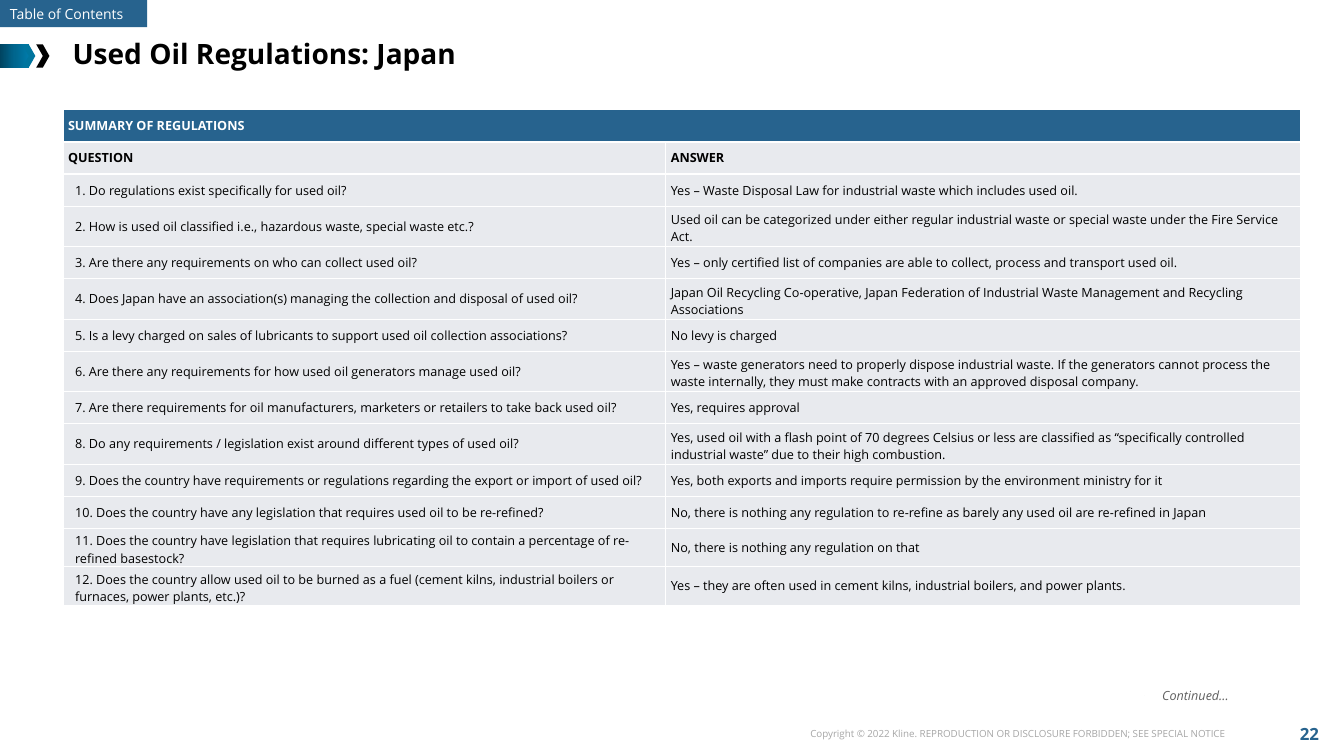
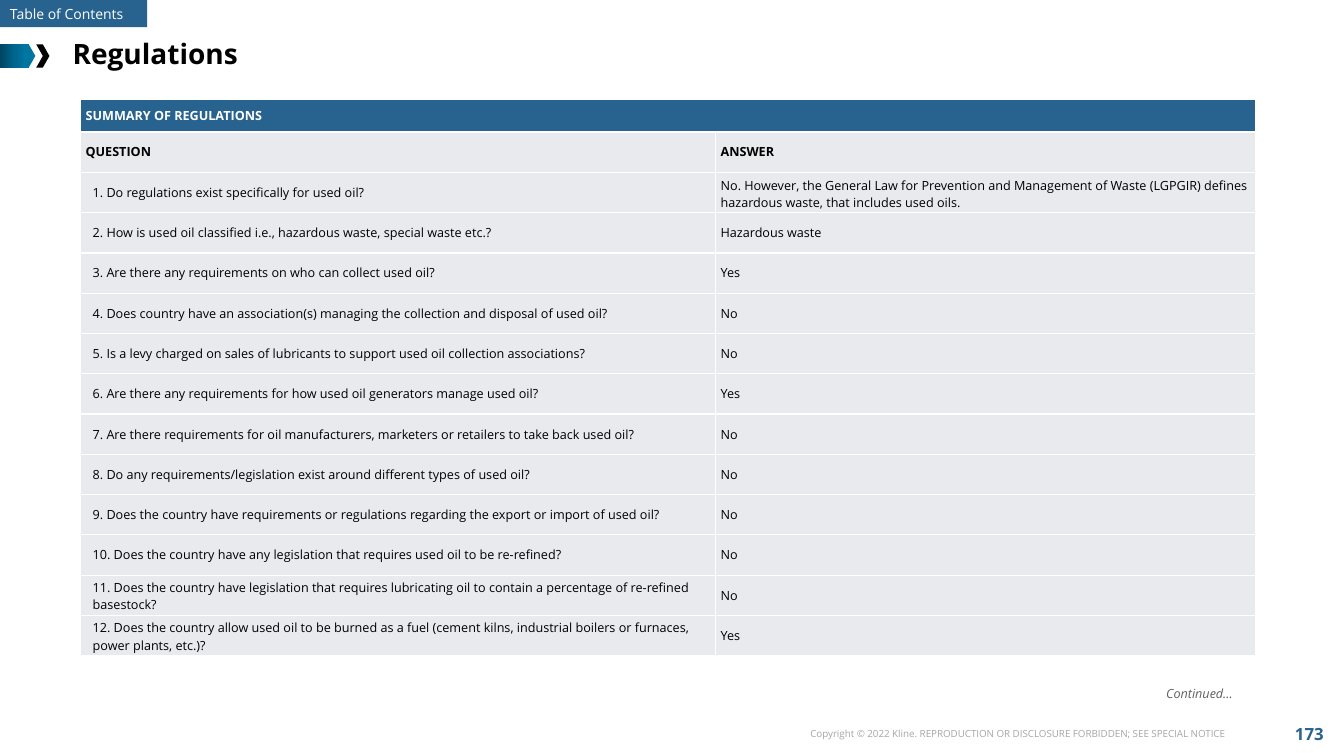
from copy import deepcopy
from math import cos, radians, sin

from pptx import Presentation
from pptx.dml.color import RGBColor
from pptx.enum.shapes import MSO_SHAPE
from pptx.enum.text import MSO_ANCHOR, PP_ALIGN
from pptx.oxml.ns import qn
from pptx.util import Inches, Pt

LEFT, CENTER, RIGHT = PP_ALIGN.LEFT, PP_ALIGN.CENTER, PP_ALIGN.RIGHT
MIDDLE, TOP = MSO_ANCHOR.MIDDLE, MSO_ANCHOR.TOP
RECTANGLE, CHEVRON = MSO_SHAPE.RECTANGLE, MSO_SHAPE.CHEVRON

COLORS = {
    "blue": "27638E", "row": "E8EAEE", "white": "FFFFFF", "black": "000000",
    "copyright": "A6A6A6", "continued": "606060", "chevron": "00759E",
}
BAR_GRADIENT = [(0, "004461"), (0.5, "00668E"), (1, "007BAA")]
FONT = "Open Sans"

QUESTIONS = [
    "Do regulations exist specifically for used oil?",
    "How is used oil classified i.e., hazardous waste, special waste etc.?",
    "Are there any requirements on who can collect used oil?",
    "Does {place} have an association(s) managing the collection and disposal of used oil?",
    "Is a levy charged on sales of lubricants to support used oil collection associations?",
    "Are there any requirements for how used oil generators manage used oil?",
    "Are there requirements for oil manufacturers, marketers or retailers to take back used oil?",
    "Do any requirements{slash}legislation exist around different types of used oil?",
    "Does the country have requirements or regulations regarding the export or import of used oil?",
    "Does the country have any legislation that requires used oil to be re-refined?",
    "Does the country have legislation that requires lubricating oil to contain a percentage of "
    "re-refined basestock?",
    "Does the country allow used oil to be burned as a fuel (cement kilns, industrial boilers or "
    "furnaces, power plants, etc.)?",
]

PAGES = [
    {
        "title": "Used Oil Regulations: Japan", "number": "22",
        "place": "Japan", "slash": " / ",
        "corner": (4.69, 14.53), "columns": (44.85, 47.25), "row": 4.25,
        "continued": (85.16, 92),
        "answers": [
            "Yes – Waste Disposal Law for industrial waste which includes used oil.",
            "Used oil can be categorized under either regular industrial waste or special waste "
            "under the Fire Service Act.",
            "Yes – only certified list of companies are able to collect, process and transport "
            "used oil.",
            "Japan Oil Recycling Co-operative, Japan Federation of Industrial Waste Management "
            "and Recycling Associations",
            "No levy is charged",
            "Yes – waste generators need to properly dispose industrial waste. If the generators "
            "cannot process the waste internally, they must make contracts with an approved "
            "disposal company.",
            "Yes, requires approval",
            "Yes, used oil with a flash point of 70 degrees Celsius or less are classified as "
            "“specifically controlled industrial waste” due to their high combustion.",
            "Yes, both exports and imports require permission by the environment ministry for it",
            "No, there is nothing any regulation to re-refine as barely any used oil are "
            "re-refined in Japan",
            "No, there is nothing any regulation on that",
            "Yes – they are often used in cement kilns, industrial boilers, and power plants.",
        ],
    },
    {
        "title": "Regulations", "number": "173",
        "place": "country", "slash": "/",
        "corner": (6, 13.2), "columns": (47.25, 40.2), "row": 5.33,
        "continued": (85.46, 91.73),
        "answers": [
            "No. However, the General Law for Prevention and Management of Waste (LGPGIR) defines "
            "hazardous waste, that includes used oils.",
            "Hazardous waste", "Yes", "No", "No", "Yes",
            "No", "No", "No", "No", "No", "Yes",
        ],
    },
]
HEADER_ROW = 4.25

deck = Presentation()
deck.slide_width, deck.slide_height = Inches(13.33), Inches(7.5)


def share(x, y, *size):
    full = (deck.slide_width, deck.slide_height) * 2
    return [int(total * part / 100) for total, part in zip(full, (x, y, *size))]


def write(frame, text, size=9, color="black", bold=False, italic=False, align=LEFT, anchor=MIDDLE):
    frame.word_wrap = True
    frame.vertical_anchor = anchor
    paragraph = frame.paragraphs[0]
    paragraph.alignment = align
    run = paragraph.add_run()
    run.text = text
    run.font.name, run.font.size = FONT, Pt(size)
    run.font.bold, run.font.italic = bold, italic
    run.font.color.rgb = RGBColor.from_string(COLORS[color])


layout = deck.slide_layouts[5]
for holder in list(layout.placeholders)[1:]:
    holder.element.getparent().remove(holder.element)
heading = layout.placeholders[0]
heading.left, heading.top, heading.width, heading.height = share(4.65, 4.13, 90, 5.87)

slides = [deck.slides.add_slide(layout) for page in PAGES]

stage = slides[0].shapes
copyright_line = stage.add_textbox(*share(57.83, 95.6, 34.05, 2.93))
write(copyright_line.text_frame,
      "Copyright © 2022 Kline. REPRODUCTION OR DISCLOSURE FORBIDDEN; SEE SPECIAL NOTICE",
      size=7, color="copyright", align=RIGHT, anchor=TOP)
shared = [copyright_line]
for preset, place, color in [
    (RECTANGLE, (0, 5.87, 2.18, 3.07), "chevron"),
    (CHEVRON, (1.65, 5.87, 0.98, 3.07), "chevron"),
    (CHEVRON, (2.7, 5.87, 0.98, 3.07), "black"),
    (RECTANGLE, (0, 0, 10.95, 3.6), "blue"),
]:
    part = stage.add_shape(preset, *share(*place))
    part.shadow.inherit = False
    part.line.fill.background()
    part.fill.solid()
    part.fill.fore_color.rgb = RGBColor.from_string(COLORS[color])
    shared.append(part)

title_bar, contents_tab = shared[1], shared[-1]
title_bar.fill.gradient()
title_bar.fill.gradient_angle = 0
stop_list = title_bar.element.find(".//" + qn("a:gsLst"))
stop_list.insert(1, deepcopy(stop_list[0]))
for stop, (position, color) in zip(title_bar.fill.gradient_stops, BAR_GRADIENT):
    stop.position = position
    stop.color.rgb = RGBColor.from_string(color)
write(contents_tab.text_frame, "Table of Contents", size=10, color="white")

for part in shared:
    layout.shapes.element.append(part.element)

ARC = range(-90, 181, 10)
outer_arc = [(0.13 * cos(radians(a)), 0.13 * sin(radians(a))) for a in ARC]
inner_arc = [(0.11 * cos(radians(a)), 0.11 * sin(radians(a))) for a in reversed(ARC)]
upper_arrow = [(-0.13, -0.01), (0.01, -0.01), (-0.02, -0.04), (-0.01, -0.05)]
lower_arrow = [(x, -y) for x, y in reversed(upper_arrow[1:])] + [(-0.11, 0.01)]
icon_outline = outer_arc + upper_arrow + [(0.04, 0)] + lower_arrow + inner_arc[1:]

for slide, page in zip(slides, PAGES):
    write(slide.shapes.title.text_frame, page["title"], size=20, bold=True)

    number = slide.shapes.add_textbox(*share(95.1, 94.27, 4.65, 5.73))
    write(number.text_frame, page["number"], size=12, color="blue", bold=True, align=CENTER)

    questions = [f"{i}. {question.format(**page)}" for i, question in enumerate(QUESTIONS, 1)]
    rows = [("SUMMARY OF REGULATIONS", ""), ("QUESTION", "ANSWER"),
            *zip(questions, page["answers"])]
    heights = [HEADER_ROW] + [page["row"]] * (len(rows) - 1)
    area = share(*page["corner"], sum(page["columns"]), sum(heights))
    summary = slide.shapes.add_table(len(rows), 2, *area).table
    summary.horz_banding = False
    for column, width in zip(summary.columns, page["columns"]):
        column.width = share(width, 0)[0]
    for r, (texts, height) in enumerate(zip(rows, heights)):
        summary.rows[r].height = share(0, height)[1]
        for c, text in enumerate(texts):
            cell = summary.cell(r, c)
            cell.fill.solid()
            cell.fill.fore_color.rgb = RGBColor.from_string(COLORS["row" if r else "blue"])
            is_question = r > 1 and c == 0
            margin = Inches(0.04 if is_question else 0.05)
            cell.margin_top = cell.margin_right = cell.margin_bottom = margin
            cell.margin_left = Inches(0.12) if is_question else margin
            cell.vertical_anchor = MIDDLE
            if text:
                write(cell.text_frame, text, color="black" if r else "white", bold=r < 2)
    summary.cell(0, 0).merge(summary.cell(0, 1))

    x, y = page["continued"]
    continued = slide.shapes.add_group_shape().shapes
    outline = continued.build_freeform(*icon_outline[0], scale=Inches(1))
    outline.add_line_segments(icon_outline[1:])
    icon = outline.convert_to_shape(*share(x, y))
    icon.shadow.inherit = False
    icon.line.fill.background()
    icon.fill.solid()
    icon.fill.fore_color.rgb = RGBColor.from_string(COLORS["continued"])
    label = continued.add_textbox(*share(x + 0.57, y - 1.75, 7.35, 3.6))
    write(label.text_frame, "Continued…", color="continued", italic=True)

deck.save("out.pptx")
